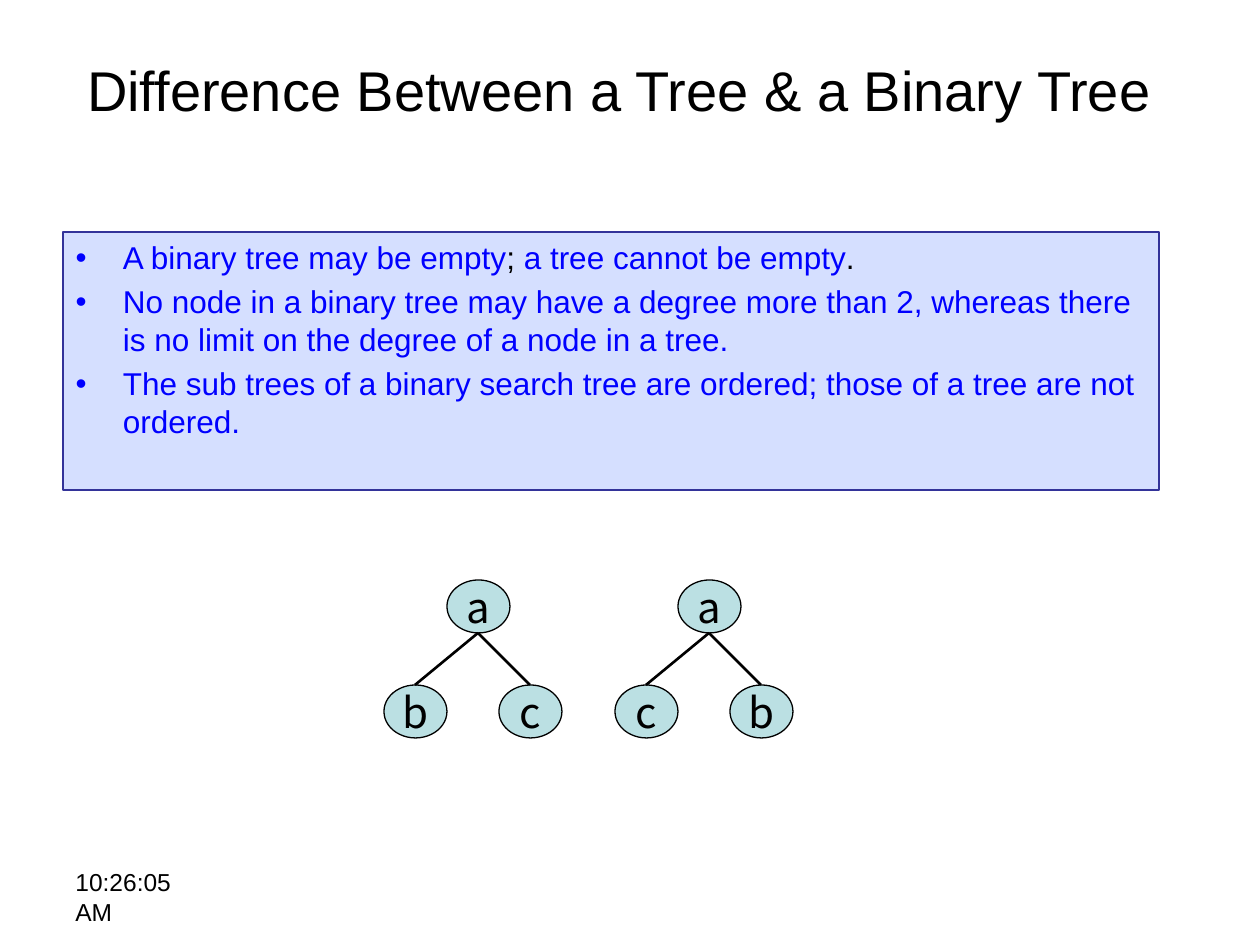
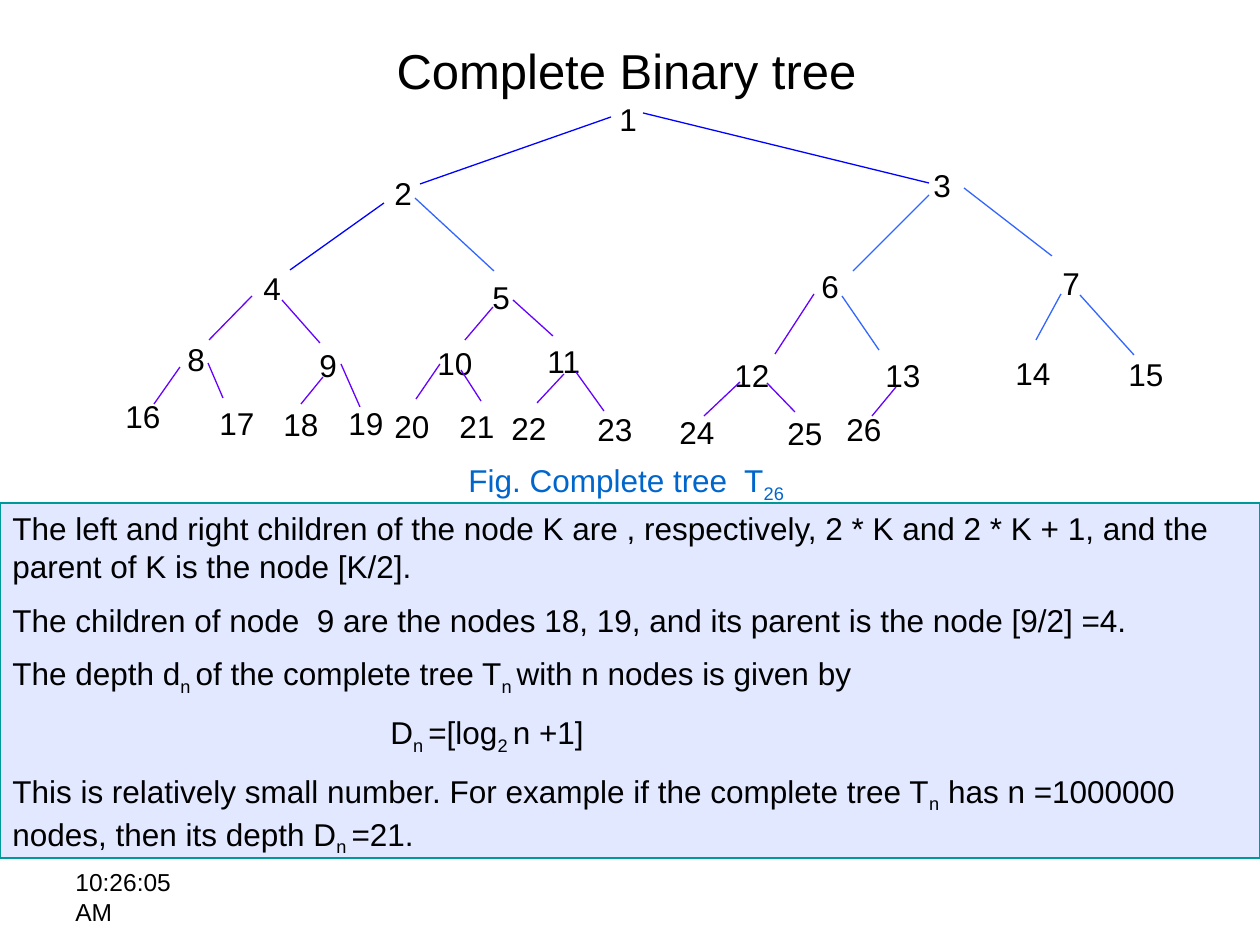
"""Builds two slides on trees, binary trees and complete binary trees."""
from dataclasses import dataclass
from typing import NamedTuple

from lxml.etree import SubElement
from pptx import Presentation
from pptx.dml.color import RGBColor
from pptx.enum.shapes import MSO_CONNECTOR, MSO_SHAPE
from pptx.enum.text import MSO_ANCHOR, MSO_AUTO_SIZE, PP_ALIGN
from pptx.oxml.ns import qn
from pptx.util import Emu, Pt

PX_PER_INCH = 126
COLORS = {
    "ink": "000000", "blue": "0000FF", "sky": "3366FF", "violet": "6600FF",
    "caption": "0066CC", "list_fill": "D5DFFF", "list_line": "333399",
    "node": "BBE0E3", "facts_fill": "E1E8FF", "facts_line": "009999",
}
TEXT_FONT = "Arial"
NODE_FONT = "Noto Sans CJK KR"


class Box(NamedTuple):
    left: int
    top: int
    width: int
    height: int


class Span(NamedTuple):
    text: str
    color: str = "ink"
    subscript: bool = False


class Edge(NamedTuple):
    x1: int
    y1: int
    x2: int
    y2: int


@dataclass(frozen=True)
class Paragraph:
    spans: tuple[Span, ...]
    indent: int = 0


@dataclass(frozen=True)
class Numbered:
    left: int
    top: int
    width: int
    edge: Edge | None = None


@dataclass(frozen=True)
class SmallTree:
    left: int
    labels: str


CLOCK_BOX = Box(63, 861, 159, 66)
LIST_BOX = Box(63, 232, 1096, 258)
FACTS_BOX = Box(0, 503, 1260, 355)
CAPTION_BOX = Box(456, 455, 358, 50)
NODE_WIDTH, NODE_HEIGHT, NUMBER_HEIGHT = 63, 53, 50
SMALL_TREES = (SmallTree(384, "abc"), SmallTree(615, "acb"))


def sub(text: str) -> Span:
    return Span(text, subscript=True)


DIFFERENCES = (
    Paragraph((Span("A binary tree may be empty", "blue"), Span("; "),
               Span("a tree cannot be empty", "blue"), Span("."))),
    Paragraph((Span("No node in a binary tree may have a degree more than 2, whereas there "
                    "is no limit on the degree of a node in a tree.", "blue"),)),
    Paragraph((Span("The sub trees of a binary search tree are ordered; those of a tree "
                    "are not ordered.", "blue"),)),
)
FACTS = (
    Paragraph((Span("The left and right children of the node K are , respectively, "
                    "2 * K and 2 * K + 1, and the parent of K is the node [K/2]."),)),
    Paragraph((Span("The children of node  9 are the nodes 18, 19, "
                    "and its parent is the node [9/2] =4."),)),
    Paragraph((Span("The depth d"), sub("n "), Span("of the complete tree T"), sub("n "),
               Span("with n nodes is given by"))),
    Paragraph((Span("D"), sub("n "), Span("=[log"), sub("2 "), Span("n +1]")), indent=378),
    Paragraph((Span("This is relatively small number. For example if the complete tree T"),
               sub("n"), Span(" has n =1000000 nodes, then its depth D"), sub("n "),
               Span("=21."))),
)
CAPTION = (Paragraph((Span("Fig. Complete tree  T", "caption"), Span("26", "caption", True))),)
COMPLETE_TREE = (
    Numbered(607, 94, 40),
    Numbered(382, 168, 40, Edge(611, 117, 420, 184)),
    Numbered(921, 160, 40, Edge(643, 113, 929, 183)),
    Numbered(251, 263, 40, Edge(384, 203, 290, 270)),
    Numbered(480, 272, 40, Edge(415, 198, 494, 271)),
    Numbered(809, 261, 40, Edge(929, 195, 853, 271)),
    Numbered(1050, 258, 40, Edge(964, 188, 1052, 256)),
    Numbered(175, 334, 40, Edge(252, 296, 209, 340)),
    Numbered(307, 340, 40, Edge(282, 300, 320, 343)),
    Numbered(425, 338, 78, Edge(493, 307, 465, 340)),
    Numbered(535, 336, 66, Edge(513, 300, 553, 336)),
    Numbered(722, 350, 69, Edge(814, 294, 775, 354)),
    Numbered(873, 350, 69, Edge(842, 296, 879, 350)),
    Numbered(1003, 348, 79, Edge(1061, 294, 1036, 340)),
    Numbered(1116, 349, 79, Edge(1080, 295, 1134, 355)),
    Numbered(113, 391, 66, Edge(180, 367, 154, 404)),
    Numbered(207, 398, 66, Edge(208, 363, 223, 398)),
    Numbered(271, 399, 67, Edge(323, 377, 301, 404)),
    Numbered(336, 398, 67, Edge(341, 364, 360, 407)),
    Numbered(382, 401, 67, Edge(440, 364, 416, 399)),
    Numbered(447, 401, 67, Edge(461, 370, 481, 401)),
    Numbered(499, 403, 67, Edge(564, 374, 537, 403)),
    Numbered(585, 404, 67, Edge(576, 372, 604, 411)),
    Numbered(667, 407, 79, Edge(740, 382, 704, 416)),
    Numbered(775, 408, 81, Edge(767, 383, 795, 412)),
    Numbered(834, 404, 79, Edge(896, 387, 872, 416)),
)


def px(length: int) -> Emu:
    return Emu(round(length * 914400 / PX_PER_INCH))


def scaled(lengths: tuple[int, ...]) -> list[Emu]:
    return [px(length) for length in lengths]


def rgb(color: str) -> RGBColor:
    return RGBColor.from_string(COLORS[color])


def place(shape, box: Box) -> None:
    shape.left, shape.top, shape.width, shape.height = scaled(box)


def paint(shape, fill: str, line: str) -> None:
    shape.fill.solid()
    shape.fill.fore_color.rgb = rgb(fill)
    shape.line.color.rgb = rgb(line)
    shape.line.width = Pt(0.75)


def write(shape, paragraphs: tuple[Paragraph, ...], size: int = 18, font: str = TEXT_FONT,
          align: PP_ALIGN = PP_ALIGN.LEFT, anchor: MSO_ANCHOR = MSO_ANCHOR.TOP,
          wrap: bool = True, gap: float = 0) -> None:
    frame = shape.text_frame
    frame.word_wrap = wrap
    frame.auto_size = MSO_AUTO_SIZE.NONE
    frame.vertical_anchor = anchor
    for index, content in enumerate(paragraphs):
        paragraph = frame.add_paragraph() if index else frame.paragraphs[0]
        paragraph.alignment = align
        if index and gap:
            paragraph.space_before = Pt(gap)
        if content.indent:
            paragraph._p.get_or_add_pPr().set("marL", str(px(content.indent)))
        for span in content.spans:
            run = paragraph.add_run()
            run.text = span.text
            run.font.name = font
            run.font.size = Pt(size)
            run.font.color.rgb = rgb(span.color)
            if span.subscript:
                run._r.get_or_add_rPr().set("baseline", "-25000")


def plain(text: str) -> tuple[Paragraph, ...]:
    return (Paragraph((Span(text),)),)


def add_label(shapes, box: Box, paragraphs: tuple[Paragraph, ...], size: int = 18) -> None:
    write(shapes.add_textbox(*scaled(box)), paragraphs, size)


def add_edge(shapes, edge: Edge, color: str, width: float) -> None:
    branch = shapes.add_connector(MSO_CONNECTOR.STRAIGHT, *scaled(edge))
    branch.line.color.rgb = rgb(color)
    branch.line.width = Pt(width)
    SubElement(branch._element.spPr, qn("a:effectLst"))


def add_small_tree(slide, tree: SmallTree) -> None:
    shapes = slide.shapes.add_group_shape().shapes
    root, *children = [Box(tree.left + dx, top, NODE_WIDTH, NODE_HEIGHT)
                       for dx, top in ((63, 580), (0, 685), (115, 685))]
    for label, box in zip(tree.labels, (root, *children)):
        node = shapes.add_shape(MSO_SHAPE.OVAL, *scaled(box))
        node.shadow.inherit = False
        paint(node, "node", "ink")
        write(node, plain(label), 24, NODE_FONT, PP_ALIGN.CENTER, MSO_ANCHOR.MIDDLE, wrap=False)
    for child in children:
        add_edge(shapes, Edge(root.left + NODE_WIDTH // 2, root.top + NODE_HEIGHT,
                              child.left + NODE_WIDTH // 2, child.top), "ink", 1.5)


def edge_color(number: int) -> str:
    if number <= 4:
        return "blue"
    return "sky" if number in (5, 6, 7, 13, 14, 15) else "violet"


def add_complete_tree(slide) -> None:
    shapes = slide.shapes.add_group_shape().shapes
    for number, node in enumerate(COMPLETE_TREE, start=1):
        box = Box(node.left, node.top, node.width, NUMBER_HEIGHT)
        add_label(shapes, box, plain(str(number)))
        if node.edge:
            add_edge(shapes, node.edge, edge_color(number), 0.75)


def start_slide(deck, layout: int, title: str, box: Box, size: int,
                align: PP_ALIGN, anchor: MSO_ANCHOR):
    slide = deck.slides.add_slide(deck.slide_layouts[layout])
    place(slide.shapes.title, box)
    write(slide.shapes.title, plain(title), size, align=align, anchor=anchor)
    add_label(slide.shapes, CLOCK_BOX, plain("10:26:05 AM"), 14)
    return slide


def build_difference(deck) -> None:
    slide = start_slide(deck, 1, "Difference Between a Tree & a Binary Tree",
                        Box(21, 45, 1197, 84), 32, PP_ALIGN.CENTER, MSO_ANCHOR.BOTTOM)
    differences = slide.placeholders[1]
    place(differences, LIST_BOX)
    paint(differences, "list_fill", "list_line")
    write(differences, DIFFERENCES)
    for tree in SMALL_TREES:
        add_small_tree(slide, tree)


def build_complete(deck) -> None:
    slide = start_slide(deck, 5, "Complete Binary tree",
                        Box(384, 34, 513, 72), 28, PP_ALIGN.LEFT, MSO_ANCHOR.TOP)
    add_complete_tree(slide)
    add_label(slide.shapes, CAPTION_BOX, CAPTION)
    facts = slide.shapes.add_shape(MSO_SHAPE.RECTANGLE, *scaled(FACTS_BOX))
    facts.shadow.inherit = False
    paint(facts, "facts_fill", "facts_line")
    write(facts, FACTS, gap=9)


def main() -> None:
    deck = Presentation()
    deck.slide_width, deck.slide_height = px(1260), px(945)
    build_difference(deck)
    build_complete(deck)
    deck.save("out.pptx")


if __name__ == "__main__":
    main()
